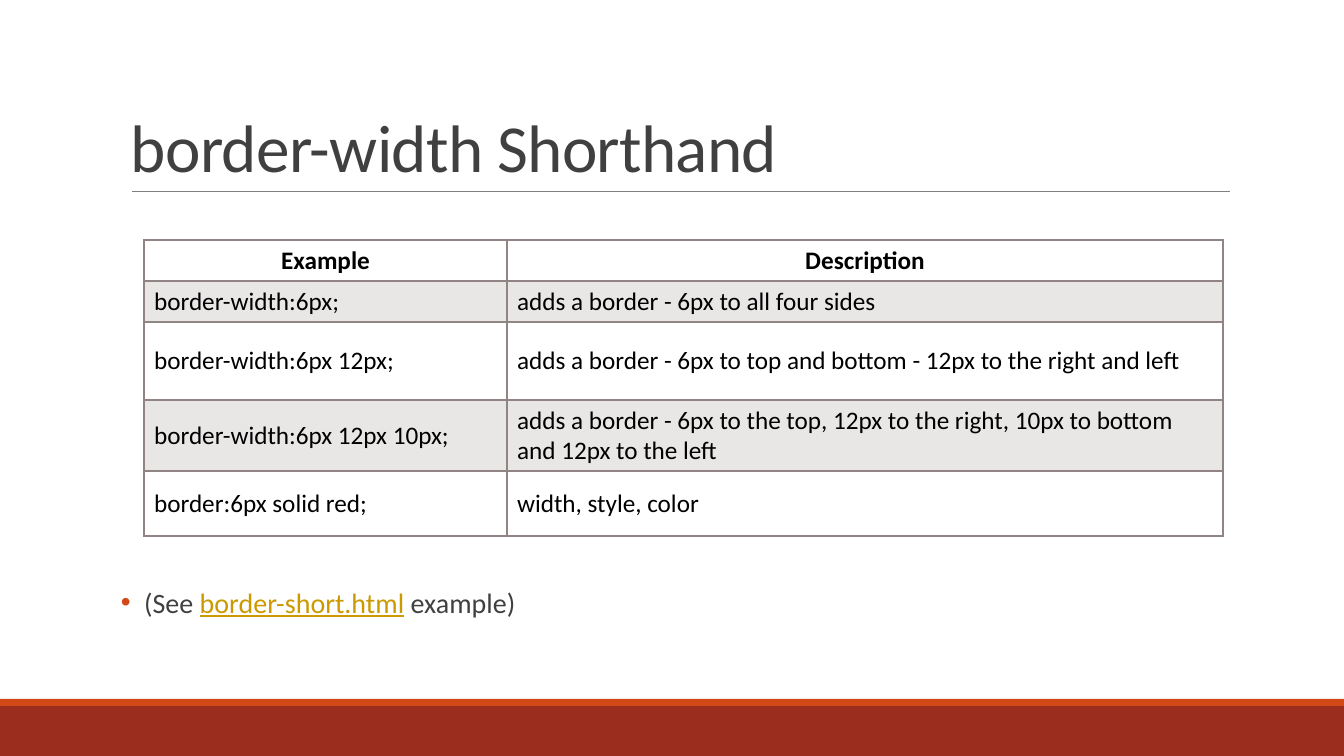
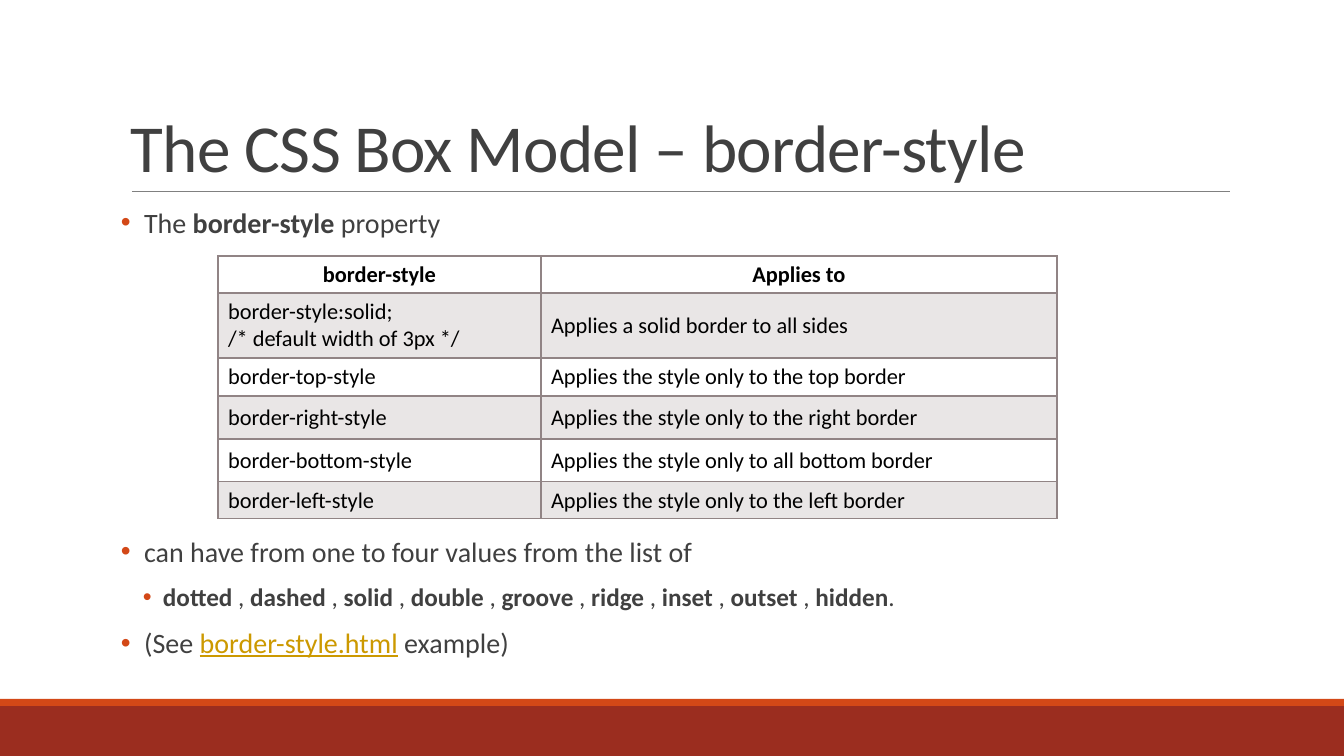
import pptx
import pptx.util
import pptx.dml.color
import pptx.enum.shapes
import pptx.enum.text
import pptx.oxml
import pptx.oxml.ns

SHAPE = pptx.enum.shapes.MSO_SHAPE
ANCHOR = pptx.enum.text.MSO_ANCHOR
ALIGN = pptx.enum.text.PP_ALIGN
Pt = pptx.util.Pt
WIDE, HIGH = 1344, 756
SCALE = 12192000 / WIDE
FONT = "Calibri"
DARK, BLACK, LINK = "404040", "000000", "CC9900"
BRICK, ORANGE, RULE, GRID = "9B2D1F", "D34817", "808080", "918485"
BOLD = {"bold": True}
LINKED = {"color": LINK, "underline": True}


def px(num):
    return round(num * SCALE)


def spot(box):
    return [px(num) for num in box]


def paint(target, color):
    target.rgb = pptx.dml.color.RGBColor.from_string(color)


def apply(target, style):
    for name, value in style.items():
        setattr(target, name, value)


def node(xml):
    space = pptx.oxml.ns.nsdecls("a")
    return pptx.oxml.parse_xml(xml.replace(" ", f" {space} ", 1))


def write(para, text, size, color=DARK, **style):
    run = para.add_run()
    run.text = text
    apply(run.font, {"name": FONT, "size": Pt(size), **style})
    paint(run.font.color, color)
    return run


def band(slide, box, color):
    shape = slide.shapes.add_shape(SHAPE.RECTANGLE, *spot(box))
    shape.shadow.inherit = False
    shape.fill.solid()
    paint(shape.fill.fore_color, color)
    shape.line.fill.background()


def frame(slide, box, style):
    text = slide.shapes.add_textbox(*spot(box)).text_frame
    apply(text, {"word_wrap": True, **style})
    return text


def base(slide, title):
    band(slide, (0, 706, WIDE, 50), BRICK)
    band(slide, (0, 699, WIDE, 7), ORANGE)
    rule = slide.shapes.add_connector(
        pptx.enum.shapes.MSO_CONNECTOR.STRAIGHT, *spot((132, 191, 1230, 191)))
    rule.line.width = Pt(0.5)
    paint(rule.line.color, RULE)
    rule._element.spPr.append(node("<a:effectLst />"))
    head = frame(slide, (121, 31, 1109, 160), {"vertical_anchor": ANCHOR.BOTTOM})
    para = head.paragraphs[0]
    para.line_spacing = 0.85
    run = write(para, title, 48)
    run.font._element.set("spc", "-50")


def bullets(slide, box, items):
    text = frame(slide, box, {"margin_left": 0, "margin_right": 0})
    look = {"line_spacing": 0.9, "space_before": Pt(4), "space_after": Pt(8)}
    levels = [(23, 23, 20), (42, 20, 18)]
    for index, (level, runs) in enumerate(items):
        para = text.add_paragraph() if index else text.paragraphs[0]
        left, hang, size = levels[level]
        apply(para, {"level": level, **look})
        props = para._p.get_or_add_pPr()
        props.set("marL", str(px(left)))
        props.set("indent", str(-px(hang)))
        props.append(node(f'<a:buClr ><a:srgbClr val="{ORANGE}"/></a:buClr>'))
        props.append(node('<a:buFont typeface="Arial"/>'))
        props.append(node('<a:buChar char="•"/>'))
        for words, style in runs:
            write(para, words, size, **style)


def edges(cell, row):
    props = cell._tc.get_or_add_tcPr()
    widths = {"L": 1, "R": 1, "T": 2 if row == 1 else 1, "B": 1 if row else 2}
    for index, (side, width) in enumerate(widths.items()):
        props.insert(index, node(
            f'<a:ln{side} w="{Pt(width)}"><a:solidFill><a:srgbClr val="{GRID}"/>'
            f'</a:solidFill></a:ln{side}>'))


def shade(cell, row):
    if row % 2 == 0:
        cell.fill.background()
        return
    cell.fill.solid()
    paint(cell.fill.fore_color, GRID)
    tint = cell._tc.tcPr.find(".//" + pptx.oxml.ns.qn("a:srgbClr"))
    tint.append(node('<a:alpha val="20000"/>'))


def grid(slide, spot_at, cols, rows, size, data):
    box = (*spot_at, sum(cols), sum(rows))
    table = slide.shapes.add_table(len(rows), len(cols), *spot(box)).table
    apply(table, {"first_row": False, "horz_banding": False})
    for col, width in zip(table.columns, cols):
        col.width = px(width)
    for row, line in enumerate(data):
        table.rows[row].height = px(rows[row])
        for col, words in enumerate(line):
            cell = table.cell(row, col)
            cell.vertical_anchor = ANCHOR.MIDDLE
            shade(cell, row)
            edges(cell, row)
            for index, part in enumerate(words.split("\n")):
                text = cell.text_frame
                para = text.add_paragraph() if index else text.paragraphs[0]
                para.alignment = ALIGN.LEFT if row else ALIGN.CENTER
                write(para, part, size, BLACK, bold=row == 0)


def see(name):
    return 0, [("(See ", {}), (name, LINKED), (" example)", {})]


def short(slide):
    base(slide, "border-width Shorthand")
    grid(slide, (144, 240), (363, 716), (41, 41, 78, 71, 65), 18, [
        ("Example", "Description"),
        ("border-width:6px;", "adds a border - 6px to all four sides"),
        ("border-width:6px 12px;",
         "adds a border - 6px to top and bottom - 12px to the right and left"),
        ("border-width:6px 12px 10px;",
         "adds a border - 6px to the top, 12px to the right, "
         "10px to bottom and 12px to the left"),
        ("border:6px solid red;", "width, style, color"),
    ])
    bullets(slide, (121, 584, 1109, 50), [see("border-short.html")])


def model(slide):
    base(slide, "The CSS Box Model – border-style")
    bullets(slide, (121, 204, 1109, 45), [
        (0, [("The ", {}), ("border-style", BOLD), (" property", {})])])
    sides = [("top", "the top"), ("right", "the right"),
             ("bottom", "all bottom"), ("left", "the left")]
    grid(slide, (218, 256), (323, 516), (37, 65, 38, 43, 43, 37), 16, [
        ("border-style", "Applies to"),
        ("border-style:solid;\n/* default width of 3px */",
         "Applies a solid border to all sides"),
        *[(f"border-{side}-style", f"Applies the style only to {where} border")
          for side, where in sides],
    ])
    names = "dotted dashed solid double groove ridge inset outset hidden".split()
    kinds = []
    for name in names:
        kinds += [(name, BOLD), ("." if name == names[-1] else " , ", {})]
    bullets(slide, (121, 533, 1109, 150), [
        (0, [("can have from one to four values from the list of", {})]),
        (1, kinds),
        see("border-style.html"),
    ])


deck = pptx.Presentation()
apply(deck, {"slide_width": px(WIDE), "slide_height": px(HIGH)})
for build in (short, model):
    build(deck.slides.add_slide(deck.slide_layouts[6]))
deck.save("out.pptx")
